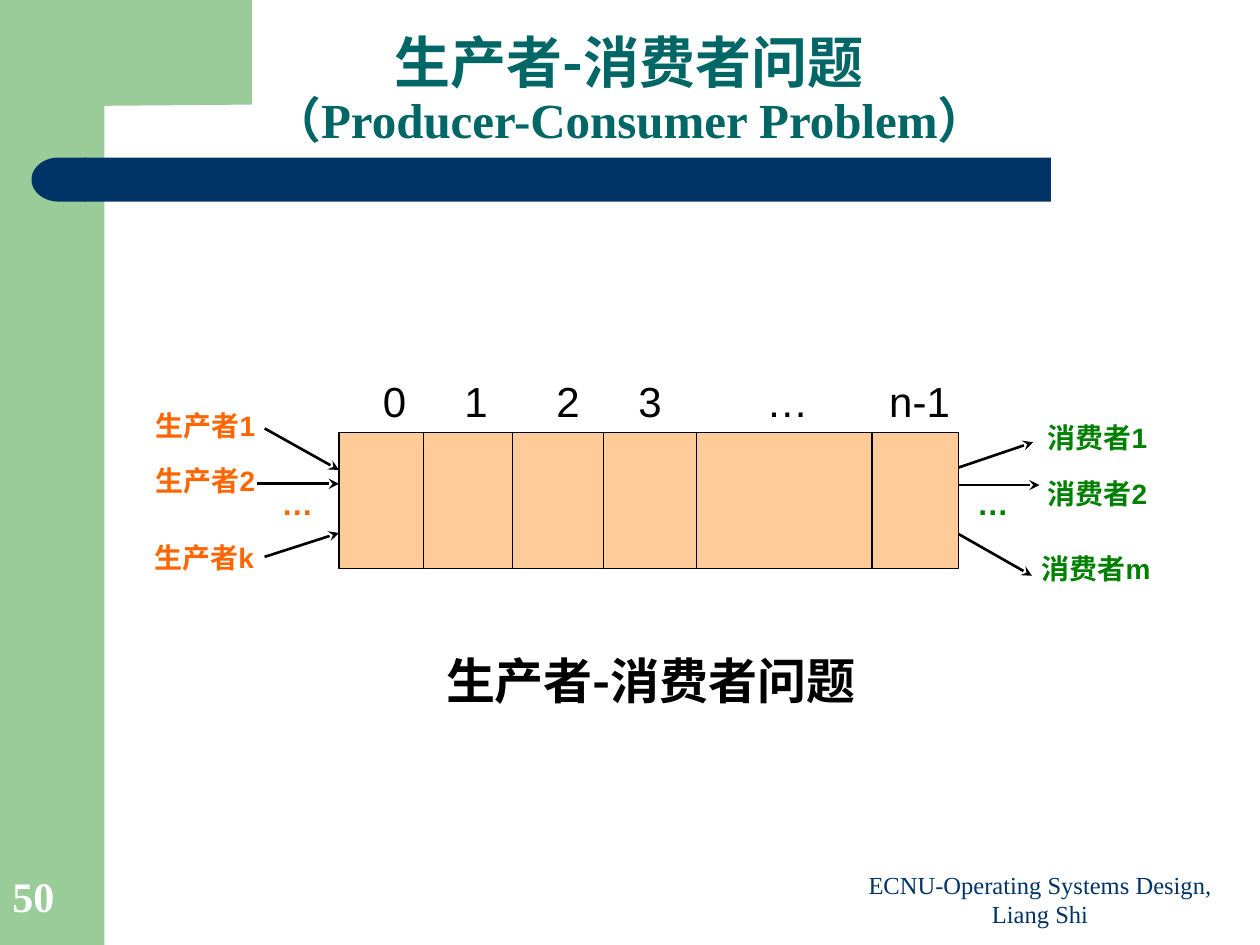
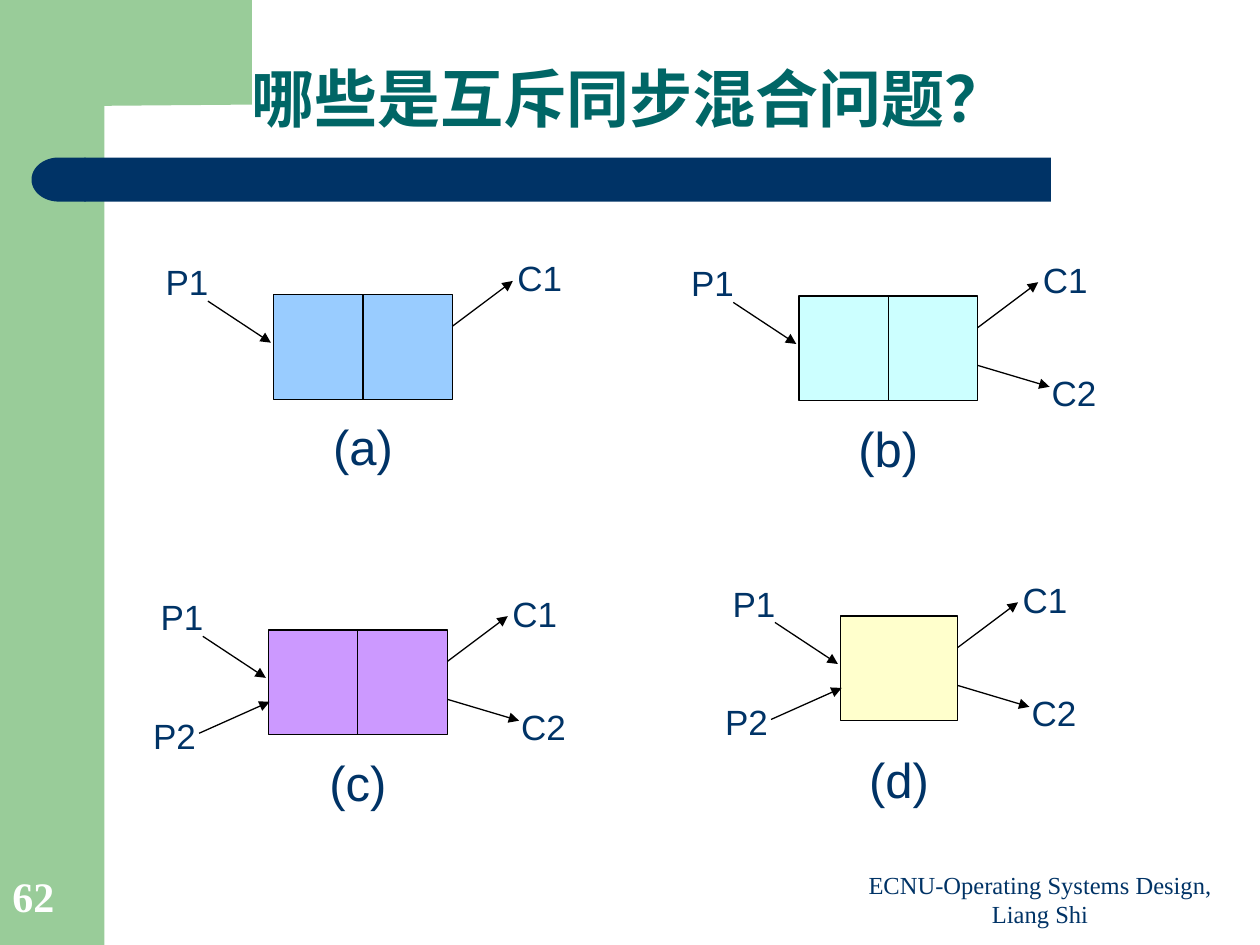
from lxml import etree
from pptx import Presentation
from pptx.dml.color import RGBColor
from pptx.enum.shapes import MSO_CONNECTOR, MSO_SHAPE
from pptx.enum.text import MSO_ANCHOR, PP_ALIGN
from pptx.oxml.ns import qn
from pptx.util import Inches, Pt

STRAIGHT = MSO_CONNECTOR.STRAIGHT
RECT, ROUND_RECT = MSO_SHAPE.RECTANGLE, MSO_SHAPE.ROUNDED_RECTANGLE
DELAY = MSO_SHAPE.FLOWCHART_DELAY
LEFT, CENTER = PP_ALIGN.LEFT, PP_ALIGN.CENTER
TOP, BOTTOM = MSO_ANCHOR.TOP, MSO_ANCHOR.BOTTOM

GREEN, NAVY, TEAL = "99CC99", "003366", "006666"
BLACK, WHITE = "000000", "FFFFFF"
ORANGE, LEAF, PEACH = "FF6600", "008000", "FFCC99"
ARIAL, SERIF, CJK = "Arial", "Times New Roman", "Noto Sans CJK SC"
FOOTER = "ECNU-Operating Systems Design, Liang Shi"


def rgb(value):
    return RGBColor.from_string(value)


def paint(shape, fill, line=None):
    shape.shadow.inherit = False
    shape.fill.solid()
    shape.fill.fore_color.rgb = rgb(fill)
    if line:
        shape.line.color.rgb = rgb(line)
        shape.line.width = Pt(0.75)
    else:
        shape.line.fill.background()


def add_box(shapes, kind, x, y, w, h, fill, line=None):
    sp = shapes.add_shape(kind, Inches(x), Inches(y), Inches(w), Inches(h))
    paint(sp, fill, line)
    return sp


def add_line(shapes, start, end, width=0.75, head=None):
    points = [Inches(v) for v in (*start, *end)]
    cx = shapes.add_connector(STRAIGHT, *points)
    cx.line.color.rgb = rgb(BLACK)
    cx.line.width = Pt(width)
    if head:
        ln = cx.line._get_or_add_ln()
        etree.SubElement(ln, qn("a:tailEnd"), type=head)
    etree.SubElement(cx._element.spPr, qn("a:effectLst"))


def add_text(shapes, x, y, w, h, lines, color, bold=False, align=CENTER,
             anchor=TOP, inset=True, spacing=None, tabs=()):
    """Each line is (text, size, font); lines share one paragraph."""
    box = shapes.add_textbox(Inches(x), Inches(y), Inches(w), Inches(h))
    tf = box.text_frame
    tf.word_wrap = True
    tf.vertical_anchor = anchor
    tf.margin_left = tf.margin_right = Inches(0.1 if inset else 0)
    tf.margin_top = tf.margin_bottom = Inches(0.05 if inset else 0)
    p = tf.paragraphs[0]
    p.alignment = align
    if spacing:
        p.line_spacing = spacing
    if tabs:
        tab_list = etree.SubElement(p._p.get_or_add_pPr(), qn("a:tabLst"))
        for pos in tabs:
            etree.SubElement(tab_list, qn("a:tab"), pos=str(Inches(pos)), algn="ctr")
    for i, (text, size, font) in enumerate(lines):
        if i:
            p.add_line_break()
        r = p.add_run()
        r.text = text
        r.font.size = Pt(size)
        r.font.name = font
        r.font.bold = bold
        r.font.color.rgb = rgb(color)
        etree.SubElement(r._r.get_or_add_rPr(), qn("a:ea"), typeface=CJK)


def add_frame(s, number):
    """Side band, corner, title bar, footer and slide number."""
    add_box(s.shapes, RECT, 0, 0, 0.83, 7.5, GREEN)
    corner = [(2, 0), (2, 0.83), (0.83, 0.84), (0.77, 0.85), (0.71, 0.92),
              (0.68, 1.04), (0.67, 1.16), (0.67, 1.28), (0.5, 1.28), (0.5, 0)]
    points = [(Inches(x), Inches(y)) for x, y in corner]
    fb = s.shapes.build_freeform(*points[0])
    fb.add_line_segments(points[1:])
    paint(fb.convert_to_shape(), GREEN)
    bar = add_box(s.shapes, ROUND_RECT, 0.67, 1.25, 7.67, 0.35, NAVY)
    bar.adjustments[0] = 0
    add_box(s.shapes, DELAY, 0.25, 1.25, 0.43, 0.35, NAVY).rotation = 180
    add_text(s.shapes, 6.67, 6.9, 3.17, 0.52, [(FOOTER, 14, SERIF)], NAVY,
             anchor=BOTTOM)
    add_text(s.shapes, 0, 6.83, 0.82, 0.53, [(number, 24, SERIF)], WHITE,
             bold=True, align=LEFT, anchor=BOTTOM, spacing=0.9)


def add_title(s, x, y, w, h, lines):
    add_text(s.shapes, x, y, w, h, lines, TEAL, bold=True, anchor=BOTTOM,
             inset=False, spacing=0.9)


def add_buffer(shapes, x, y, w, h):
    """Bounded buffer with its slot numbers above."""
    add_box(shapes, RECT, x, y, w, h, PEACH, BLACK)
    for dx in (0.67, 1.38, 2.1, 2.84, 4.23):
        add_line(shapes, (x + dx, y), (x + dx, y + h))
    slots = "\t".join(["0", "1", "2", "3", "…", "n-1"])
    add_text(shapes, x + 0.25, y - 0.5, 5.09, 0.5, [(slots, 24, ARIAL)], BLACK,
             align=LEFT, tabs=(0.74, 1.47, 2.12, 3.21, 4.26))


def add_actors(shapes, x, y, role, color, labels, arrows, dots):
    """Labels and arrows on one side; x, y is the buffer's corner there."""
    for name, dx, dy in labels:
        add_text(shapes, x + dx, y + dy, 1.08, 0.37,
                 [(role + name, 16, ARIAL)], color, bold=True)
    for x1, y1, x2, y2 in arrows:
        add_line(shapes, (x + x1, y + y1), (x + x2, y + y2), 1.5, "stealth")
    add_text(shapes, x + dots, y + 0.36, 0.5, 0.4, [("…", 18, ARIAL)], color,
             bold=True)


def producer_consumer_slide(prs):
    s = prs.slides.add_slide(prs.slide_layouts[6])
    add_frame(s, "50")
    add_title(s, 0.07, 0.16, 9.85, 1.02,
              [("生产者-消费者问题", 32, CJK),
               ("（Producer-Consumer Problem）", 28, SERIF)])
    x, y, w, h = 2.69, 3.43, 4.92, 1.08
    diagram = s.shapes.add_group_shape().shapes
    add_buffer(diagram, x, y, w, h)
    add_actors(diagram, x, y, "生产者", ORANGE,
               [("1", -1.6, -0.24), ("2", -1.6, 0.2), ("k", -1.61, 0.81)],
               [(-0.59, -0.03, 0, 0.3), (-0.65, 0.41, 0, 0.41),
                (-0.59, 0.99, 0, 0.8)], -0.58)
    add_actors(diagram, x + w, y, "消费者", LEAF,
               [("1", 0.56, -0.14), ("2", 0.56, 0.3), ("m", 0.55, 0.9)],
               [(0, 0.28, 0.59, 0.08), (0, 0.42, 0.64, 0.42),
                (0, 0.81, 0.58, 1.14)], 0.02)
    add_text(s.shapes, 2.96, 5.11, 4.41, 0.57,
             [("生产者-消费者问题", 28, CJK)], BLACK, bold=True)


def add_case(s, caption, x, y, w, fill, actors, slots=2, caption_dy=0.92):
    """Small buffer with arrows from producers and to consumers."""
    h = 0.83
    shapes = s.shapes.add_group_shape().shapes
    add_box(shapes, RECT, x, y, w, h, fill, BLACK)
    for i in range(1, slots):
        dx = w * i / slots
        add_line(shapes, (x + dx, y), (x + dx, y + h))
    # Label corner, arrow start and arrow end, relative to the buffer
    places = {
        "P1": ((-1.05, -0.32), (-0.52, 0.05), (-0.02, 0.38)),
        "P2": ((-1.11, 0.62), (-0.55, 0.82), (0.01, 0.57)),
        "C1": ((w + 0.33, -0.35), (w, 0.25), (w + 0.48, -0.11)),
        "C2": ((w + 0.4, 0.55), (w, 0.55), (w + 0.57, 0.72)),
    }
    for name in actors:
        (lx, ly), (x1, y1), (x2, y2) = places[name]
        add_line(shapes, (x + x1, y + y1), (x + x2, y + y2), head="triangle")
        add_text(shapes, x + lx, y + ly, 0.73, 0.44, [(name, 20, ARIAL)], NAVY)
    add_text(s.shapes, x + (w - 0.98) / 2, y + caption_dy, 0.98, 0.57,
             [(caption, 28, ARIAL)], NAVY)


def mixed_problem_slide(prs):
    s = prs.slides.add_slide(prs.slide_layouts[6])
    add_frame(s, "62")
    add_title(s, 0, 0.08, 10, 1, [("哪些是互斥同步混合问题？", 36, ARIAL)])
    everyone = ("P1", "P2", "C1", "C2")
    add_case(s, "(a)", 2.17, 2.34, 1.42, "99CCFF", ("P1", "C1"))
    add_case(s, "(b)", 6.34, 2.35, 1.42, "CCFFFF", ("P1", "C1", "C2"))
    add_case(s, "(c)", 2.13, 5, 1.42, "CC99FF", everyone)
    add_case(s, "(d)", 6.67, 4.89, 0.93, "FFFFCC", everyone, slots=1,
             caption_dy=1.01)


def main():
    prs = Presentation()
    prs.slide_width, prs.slide_height = Inches(10), Inches(7.5)
    producer_consumer_slide(prs)
    mixed_problem_slide(prs)
    prs.save("out.pptx")


if __name__ == "__main__":
    main()
